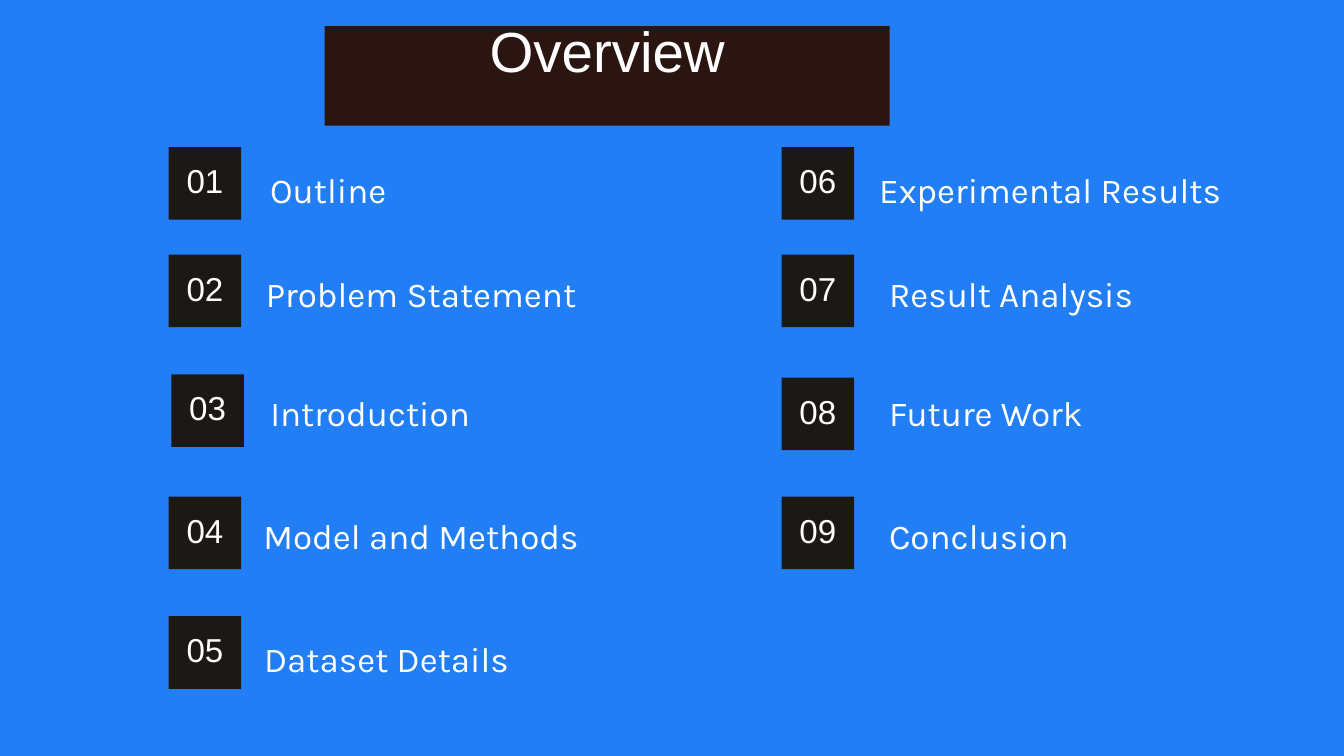
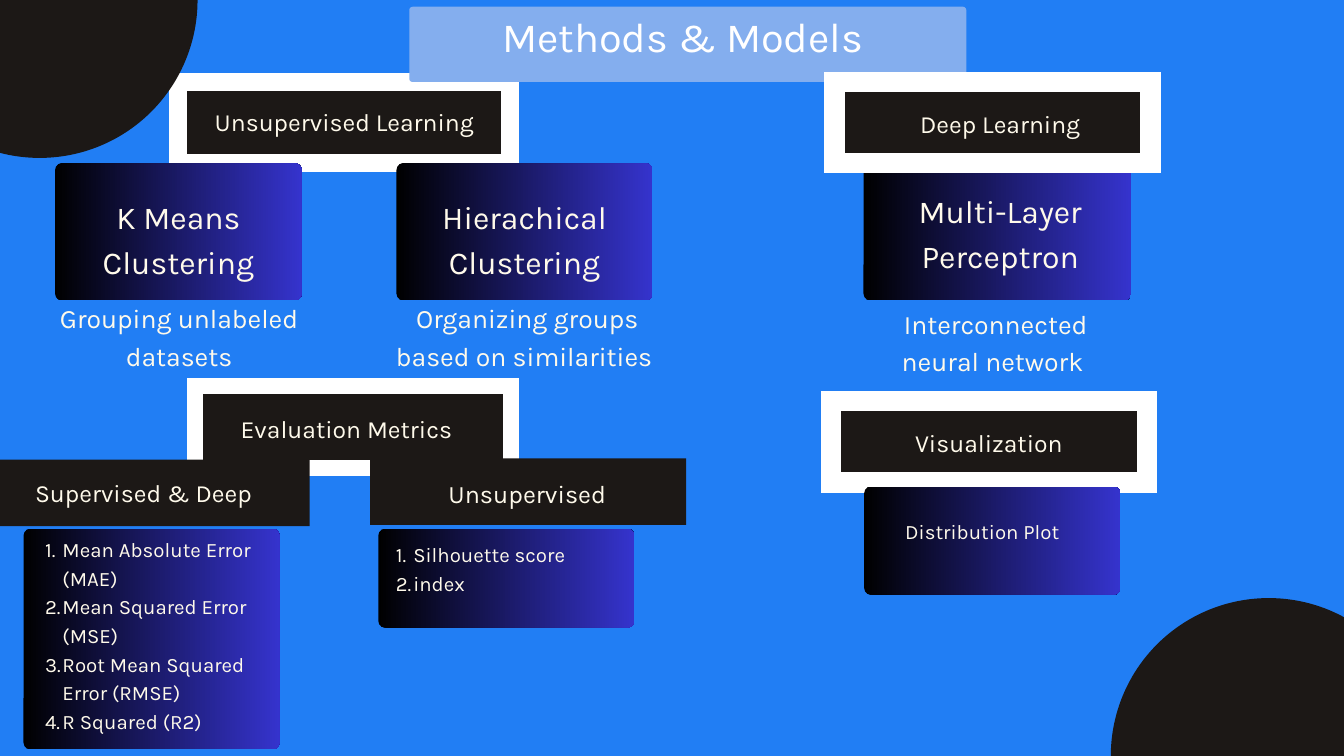
from lxml import etree
from pptx import Presentation
from pptx.dml.color import RGBColor
from pptx.enum.shapes import MSO_SHAPE
from pptx.enum.text import MSO_ANCHOR, PP_ALIGN
from pptx.oxml.ns import qn
from pptx.util import Inches, Pt

RECTANGLE, ROUNDED, OVAL = MSO_SHAPE.RECTANGLE, MSO_SHAPE.ROUNDED_RECTANGLE, MSO_SHAPE.OVAL
LEFT, CENTER = PP_ALIGN.LEFT, PP_ALIGN.CENTER
TOP, MIDDLE = MSO_ANCHOR.TOP, MSO_ANCHOR.MIDDLE

BLUE, DARK, BROWN, PALE = "217EF4", "1C1816", "2B1511", "84AEEE"
WHITE, CREAM, BLACK, INDIGO = "FFFFFF", "FFFAEB", "000000", "3533CD"
SANS, KARLA = "Arial", "Karla"

TILE, TILE_LIFT = 1.08, 0.19
LABEL_TOPS = [2.4, 3.95, 5.72, 7.55, 9.38]
OUTLINE = [
    (2.51, [
        ("Outline", 2.19, 4.02, 3.47, LEFT),
        ("Problem Statement", 3.79, 3.35, 5.84, CENTER),
        ("Introduction", 5.57, 2.59, 5.84, CENTER),
        ("Model and Methods", 7.39, 3.35, 5.84, CENTER),
        ("Dataset Details", 9.17, 3.92, 3.67, CENTER),
    ]),
    (11.63, [
        ("Experimental Results", 2.19, 12.71, 5.84, CENTER),
        ("Result Analysis", 3.79, 13.23, 5.84, LEFT),
        ("Future Work", 5.62, 13.23, 5.84, LEFT),
        ("Conclusion", 7.39, 13.23, 5.84, LEFT),
    ]),
]
TILE_SHIFTS = {"Introduction": 0.04}

BACK_FRAMES = [
    ("Unsupervised Learning", (2.65, 1.22, 4.94, 1.21), 19.5, (2.9, 1.51)),
    ("Evaluation Metrics", (2.9, 5.75, 4.7, 1.21), 17.25, (2.93, 6.09)),
    ("Visualization", (12.37, 5.97, 4.7, 1.21), 21.75, (12.49, 6.29)),
]
FRONT_FRAMES = [
    ("Deep Learning", (12.42, 1.22, 4.7, 1.21), 21.75, (12.66, 1.55)),
]
CORNER_CIRCLES = [(16.53, 8.9, 4.7, 4.7), (-1.76, -2.35, 4.7, 4.7)]
METHODS = [
    (["K Means", "Clustering"], (0.82, 2.43, 3.67, 2.04), (1.24, 2.85),
     "Grouping unlabeled datasets", (0.73, 4.42, 3.87, 1.08)),
    (["Hierachical", "Clustering"], (5.9, 2.43, 3.81, 2.04), (6.39, 2.85),
     " Organizing groups based on similarities", (5.63, 4.42, 4.34, 1.08)),
    (["Multi-Layer", "Perceptron"], (12.85, 2.43, 3.98, 2.04), (13.47, 2.75),
     " Interconnected neural network", (12.92, 4.5, 3.7, 1.08)),
]
METRIC_BARS = [
    ("Supervised & Deep", (-0.09, 6.84, 4.7, 0.99), (-0.09, 7.04, 4.45, 0.49), 26.5, 37.1),
    ("Unsupervised ", (5.51, 6.82, 4.7, 0.99), (5.63, 7.04, 4.52, 0.5), 26.9, 37.6),
]
DETAILS = [
    (["Mean Absolute Error (MAE)", "Mean Squared Error (MSE)",
      "Root Mean Squared Error (RMSE)", "R Squared (R2)"],
     (0.35, 7.87, 3.81, 3.28), (0.41, 7.93, 3.69, 3.32), True),
    (["Silhouette score", "index"],
     (5.63, 7.87, 3.81, 1.47), (5.63, 8.01, 3.69, 1.24), True),
    (["Distribution Plot"],
     (12.86, 7.24, 3.81, 1.61), (13.47, 7.67, 3.69, 0.41), False),
]


def color(value):
    return RGBColor.from_string(value)


def add_block(page, kind, area, fill, radius=0):
    block = page.shapes.add_shape(kind, *map(Inches, area))
    block.shadow.inherit = False
    block.line.fill.background()
    if radius:
        block.adjustments[0] = radius / min(area[2:])
    if isinstance(fill, tuple):
        block.fill.gradient()
        block.fill.gradient_angle = 0
        for stop, value, position in zip(block.fill.gradient_stops, fill, (0, 1)):
            stop.color.rgb = color(value)
            stop.position = position
    else:
        block.fill.solid()
        block.fill.fore_color.rgb = color(fill)
    return block


def add_text(page, lines, area, size, spacing, tint=CREAM, font=KARLA,
             align=CENTER, anchor=TOP, inset=0, numbered=False):
    frame = page.shapes.add_textbox(*map(Inches, area)).text_frame
    frame.word_wrap = True
    frame.vertical_anchor = anchor
    frame.margin_left = frame.margin_right = Inches(inset)
    frame.margin_top = frame.margin_bottom = Inches(inset)
    for index, line in enumerate(lines):
        para = frame.add_paragraph() if index else frame.paragraphs[0]
        para.text = line
        para.alignment = align
        para.line_spacing = Pt(spacing)
        para.font.size = Pt(size)
        para.font.name = font
        para.font.color.rgb = color(tint)
        if numbered:
            number(para)


def number(para):
    para.level = 1
    properties = para._p.get_or_add_pPr()
    properties.set("marL", str(Inches(0.52)))
    properties.set("indent", str(Inches(-0.26)))
    bullet = etree.Element(qn("a:buAutoNum"), type="arabicPeriod")
    properties.find(qn("a:defRPr")).addprevious(bullet)


def add_frame(page, title, area, border, corner):
    block = add_block(page, RECTANGLE, area, DARK)
    block.line.color.rgb = color(WHITE)
    block.line.width = Pt(border)
    etree.SubElement(block.line._get_or_add_ln(), qn("a:miter"), lim="800000")
    add_text(page, [title], (*corner, 4.45, 0.49), 26.5, 37.1)


def add_card(page, area):
    add_block(page, ROUNDED, area, (BLACK, INDIGO), 0.1)


def add_page(deck):
    page = deck.slides.add_slide(deck.slide_layouts[6])
    page.background.fill.solid()
    page.background.fill.fore_color.rgb = color(BLUE)
    return page


def add_title(page, title, area, lift, fill, font, size, spacing, radius=0):
    left, top, width, height = area
    add_block(page, ROUNDED if radius else RECTANGLE, area, fill, radius)
    add_text(page, [title], (left, top - lift, width, height + lift), size, spacing,
             WHITE, font, anchor=MIDDLE, inset=0.06)


def build_overview(deck):
    page = add_page(deck)
    add_title(page, "Overview", (4.83, 0.39, 8.41, 1.48), 0.78, BROWN, SANS, 60.5, 72.5)
    count = 0
    for column, entries in OUTLINE:
        for (label, top, left, width, align), label_top in zip(entries, LABEL_TOPS):
            count += 1
            tile_left = column + TILE_SHIFTS.get(label, 0)
            add_block(page, RECTANGLE, (tile_left, top, TILE, TILE), DARK)
            add_text(page, [f"{count:02}"],
                     (tile_left, top - TILE_LIFT, TILE, TILE + TILE_LIFT),
                     35.5, 49.7, WHITE, SANS, anchor=MIDDLE)
            add_text(page, [label], (left, label_top, width, 0.69), 37.5, 52.2,
                     WHITE, align=align)


def build_methods(deck):
    page = add_page(deck)
    for frame in BACK_FRAMES:
        add_frame(page, *frame)
    for circle in CORNER_CIRCLES:
        add_block(page, OVAL, circle, DARK)
    add_title(page, "Methods & Models ", (6.09, 0.1, 8.29, 1.12), 0.36, PALE, KARLA,
              44.5, 62.2, 0.05)
    for name, card, corner, summary, summary_area in METHODS:
        add_card(page, card)
        add_text(page, name, (*corner, 2.83, 1.28), 34.2, 48)
        add_text(page, [summary], summary_area, 28.5, 39.9)
    for title, bar, area, size, spacing in METRIC_BARS:
        add_block(page, RECTANGLE, bar, DARK)
        add_text(page, [title], area, size, spacing)
    for lines, card, area, numbered in DETAILS:
        add_card(page, card)
        add_text(page, lines, area, 21.9, 30.7, align=LEFT, numbered=numbered)
    for frame in FRONT_FRAMES:
        add_frame(page, *frame)


def main():
    deck = Presentation()
    deck.slide_width, deck.slide_height = Inches(20), Inches(11.25)
    build_overview(deck)
    build_methods(deck)
    deck.save("out.pptx")


if __name__ == "__main__":
    main()
